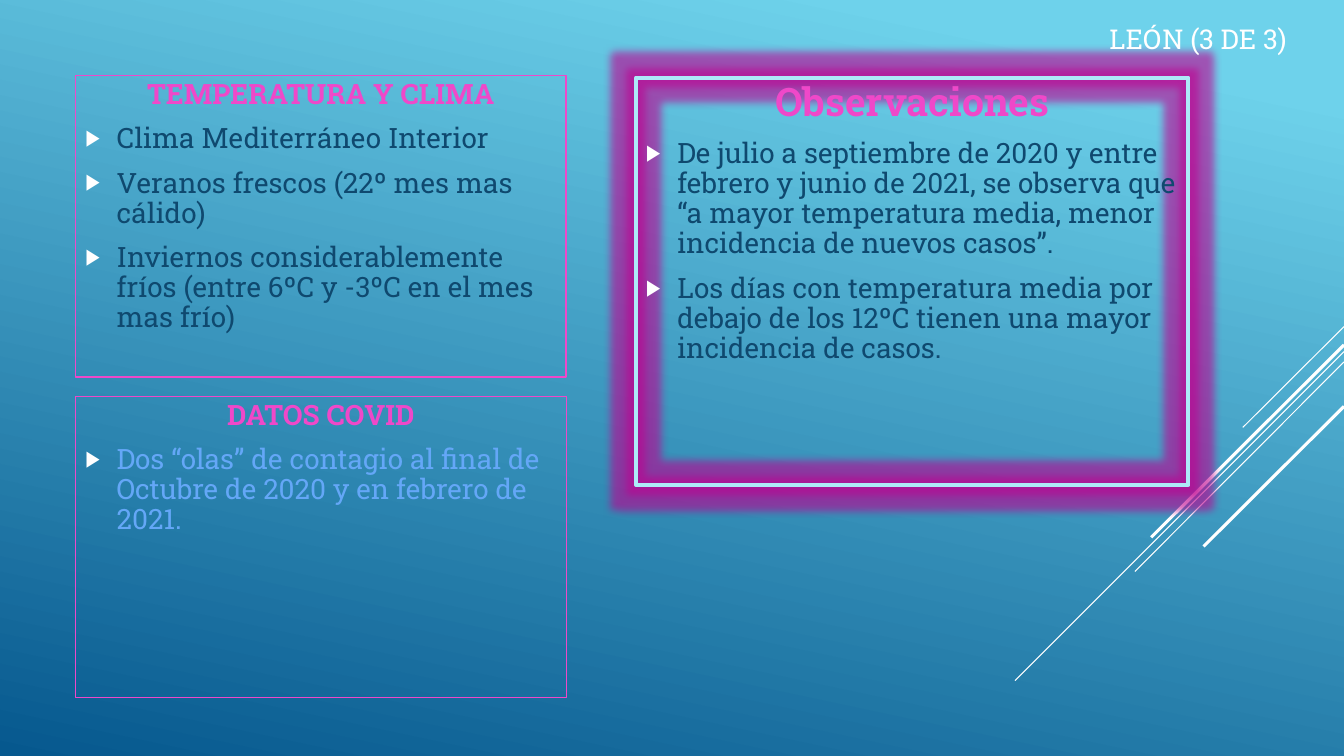
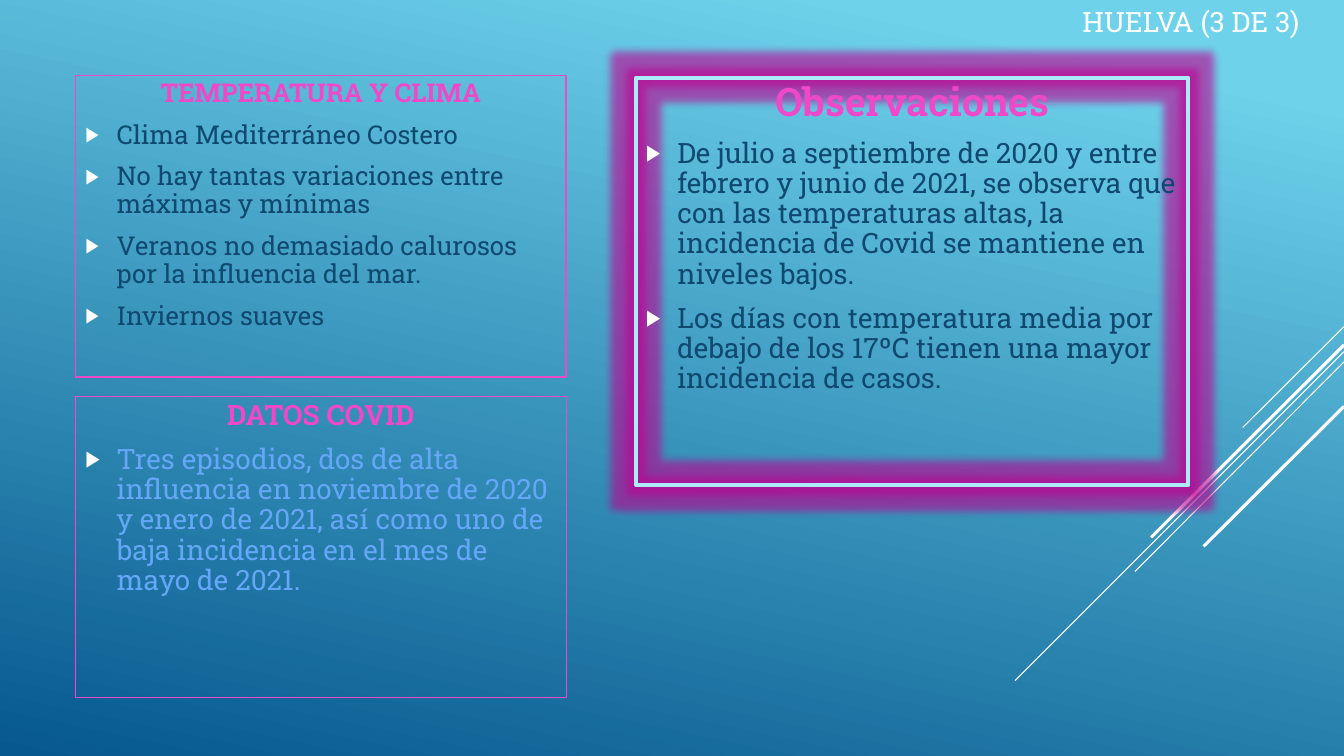
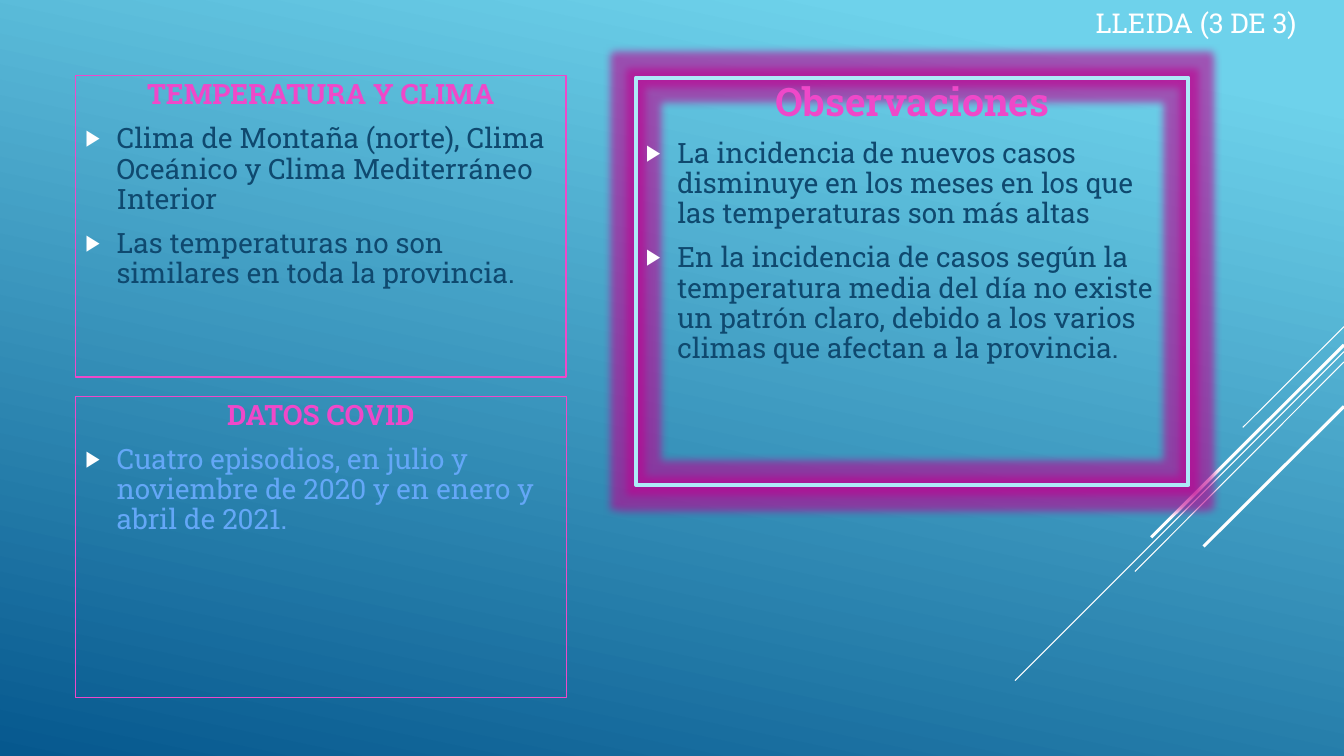
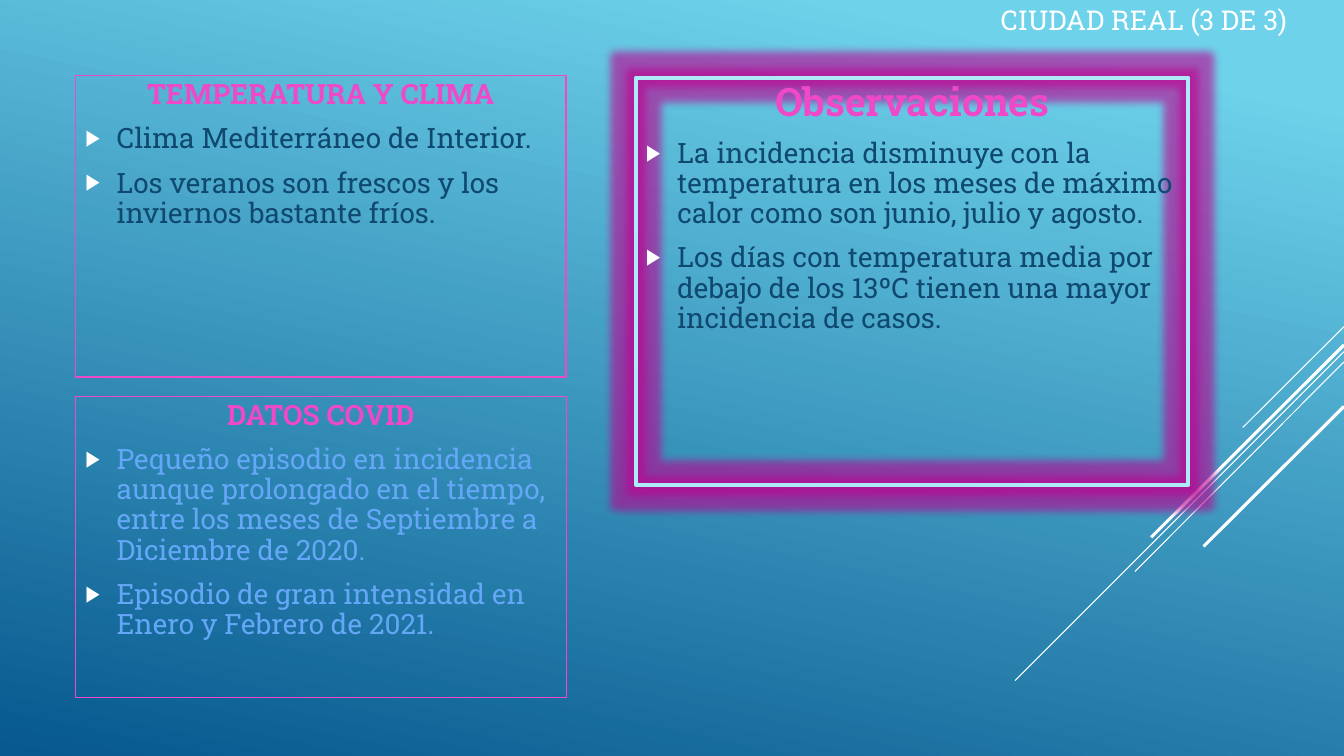
"""Builds the four provincial climate and Covid summary slides."""
from dataclasses import dataclass
from typing import Any

from lxml.etree import SubElement
from pptx import Presentation
from pptx.dml.color import RGBColor
from pptx.enum.shapes import MSO_CONNECTOR, MSO_SHAPE
from pptx.enum.text import MSO_ANCHOR, PP_ALIGN
from pptx.oxml.ns import qn
from pptx.util import Cm, Pt

FONT = "Roboto Slab"
COLORS = {
    "sky": "6ED2EB",
    "deep": "06588E",
    "white": "FFFFFF",
    "pink": "EF48C9",
    "navy": "0F496F",
    "light_blue": "64A7F7",
    "frame": "ADE9F8",
    "glow": "BF0090",
}
SLIDE_WIDTH, SLIDE_HEIGHT = 33.87, 19.05
BULLET_INDENT = 0.79


@dataclass(frozen=True)
class Stripe:
    top: float
    left: float
    bottom: float
    weight: float


@dataclass(frozen=True)
class Panel:
    heading: str
    box: tuple[float, float, float, float]
    line: str
    weight: float
    ink: str
    heading_size: float = 20
    glow: bool = False


@dataclass(frozen=True)
class Province:
    title: str
    title_box: tuple[float, float, float, float]
    climate: list[str]
    covid: list[str]
    remarks: list[str]
    title_size: float = 19.5
    climate_size: float = 20


STRIPES = [
    Stripe(8.23, 31.32, 10.77, 0.75),
    Stripe(8.86, 25.58, 17.15, 0.75),
    Stripe(9.12, 28.6, 14.4, 0.75),
    Stripe(8.69, 29.01, 13.54, 2.25),
    Stripe(10.24, 30.33, 13.77, 2.25),
]
CLIMATE = Panel("TEMPERATURA Y CLIMA", (1.9, 1.9, 12.37, 7.6), "pink", 1, "navy")
COVID = Panel("DATOS COVID", (1.9, 9.98, 12.37, 7.6), "pink", 0.75, "light_blue")
REMARKS = Panel("Observaciones", (16.03, 1.96, 13.92, 10.26), "frame", 3, "navy", 28, True)

PROVINCES = [
    Province(
        "LEÓN (3 DE 3)",
        (27.71, 0.48, 6.83, 1.07),
        [
            "Clima Mediterráneo Interior",
            "Veranos frescos (22º mes mas cálido)",
            "Inviernos considerablemente fríos (entre 6ºC y -3ºC en el mes mas frío)",
        ],
        ["Dos “olas” de contagio al final de Octubre de 2020 y en febrero de 2021."],
        [
            "De julio a septiembre de 2020 y entre febrero y junio de 2021, se observa que "
            "“a mayor temperatura media, menor incidencia de nuevos casos”.",
            "Los días con temperatura media por debajo de los 12ºC tienen una mayor "
            "incidencia de casos.",
        ],
    ),
    Province(
        "HUELVA (3 DE 3)",
        (27.03, 0.05, 6.83, 1.07),
        [
            "Clima Mediterráneo Costero",
            "No hay tantas variaciones entre máximas y mínimas",
            "Veranos no demasiado calurosos por la influencia del mar.",
            "Inviernos suaves",
        ],
        [
            "Tres episodios, dos de alta influencia en noviembre de 2020 y enero de 2021, "
            "así como uno de baja incidencia en el mes de mayo de 2021."
        ],
        [
            "De julio a septiembre de 2020 y entre febrero y junio de 2021, se observa que "
            "con las temperaturas altas, la incidencia de Covid se mantiene en niveles bajos.",
            "Los días con temperatura media por debajo de los 17ºC tienen una mayor "
            "incidencia de casos.",
        ],
        title_size=20,
        climate_size=18.5,
    ),
    Province(
        "LLEIDA (3 DE 3)",
        (27.36, 0.03, 7.34, 1.19),
        [
            "Clima de Montaña (norte), Clima Oceánico y Clima Mediterráneo Interior",
            "Las temperaturas no son similares en toda la provincia.",
        ],
        ["Cuatro episodios, en julio y noviembre de 2020 y en enero y abril de 2021."],
        [
            "La incidencia de nuevos casos disminuye en los meses en los que las "
            "temperaturas son más altas",
            "En la incidencia de casos según la temperatura media del día no existe un "
            "patrón claro, debido a los varios climas que afectan a la provincia.",
        ],
    ),
    Province(
        "CIUDAD REAL (3 DE 3)",
        (24.97, 0, 8.86, 1.09),
        [
            "Clima Mediterráneo de Interior.",
            "Los veranos son frescos y los inviernos bastante fríos.",
        ],
        [
            "Pequeño episodio en incidencia aunque prolongado en el tiempo, entre los meses "
            "de Septiembre a Diciembre de 2020.",
            "Episodio de gran intensidad en Enero y Febrero de 2021.",
        ],
        [
            "La incidencia disminuye con la temperatura en los meses de máximo calor como "
            "son junio, julio y agosto.",
            "Los días con temperatura media por debajo de los 13ºC tienen una mayor "
            "incidencia de casos.",
        ],
    ),
]


def rgb(name: str) -> RGBColor:
    """Return a named colour."""
    return RGBColor.from_string(COLORS[name])


def apply(target: Any, values: dict[str, Any]) -> None:
    """Set every listed attribute on the target."""
    for name, value in values.items():
        setattr(target, name, value)


def write(para: Any, text: str, size: float, color: str, bold: bool = False) -> None:
    """Add one formatted span to a paragraph."""
    span = para.add_run()
    span.text = text
    apply(span.font, {"name": FONT, "size": Pt(size), "bold": bold})
    span.font.color.rgb = rgb(color)


def add_bullet(para: Any) -> None:
    """Give a paragraph a hanging white triangle."""
    properties = para._p.get_or_add_pPr()
    properties.set("marL", str(Cm(BULLET_INDENT)))
    properties.set("indent", str(-Cm(BULLET_INDENT)))
    color = SubElement(properties, qn("a:buClr"))
    SubElement(color, qn("a:srgbClr"), val=COLORS["white"])
    SubElement(properties, qn("a:buSzPct"), val="80000")
    SubElement(properties, qn("a:buFont"), typeface="Arial")
    SubElement(properties, qn("a:buChar"), char="▶")


def add_glow(shape: Any) -> None:
    """Surround a shape's outline with a soft purple glow."""
    effects = shape._element.spPr.find(qn("a:effectLst"))
    glow = SubElement(effects, qn("a:glow"), rad=str(Pt(11)))
    color = SubElement(glow, qn("a:srgbClr"), val=COLORS["glow"])
    SubElement(color, qn("a:alpha"), val="60000")


def paint_background(deck: Any) -> None:
    """Set the shared gradient on the slide master."""
    fill = deck.slide_master.background.fill
    fill.gradient()
    fill.gradient_angle = 258
    for stop, (color, position) in zip(fill.gradient_stops, [("sky", 0.1), ("deep", 1)]):
        stop.color.rgb = rgb(color)
        stop.position = position


def add_stripe(page: Any, stripe: Stripe) -> None:
    """Draw a diagonal line from the right edge."""
    points = (SLIDE_WIDTH, stripe.top, stripe.left, stripe.bottom)
    connector = page.shapes.add_connector(MSO_CONNECTOR.STRAIGHT, *map(Cm, points))
    connector.line.color.rgb = rgb("white")
    connector.line.width = Pt(stripe.weight)
    SubElement(connector._element.spPr, qn("a:effectLst"))


def add_panel(page: Any, panel: Panel, items: list[str], size: float, heading_size: float) -> None:
    """Draw an outlined box with a heading and bullets."""
    box = page.shapes.add_shape(MSO_SHAPE.RECTANGLE, *map(Cm, panel.box))
    box.shadow.inherit = False
    box.fill.background()
    box.line.color.rgb = rgb(panel.line)
    box.line.width = Pt(panel.weight)
    if panel.glow:
        add_glow(box)
    frame = box.text_frame
    apply(frame, {"word_wrap": True, "vertical_anchor": MSO_ANCHOR.TOP})
    for index, text in enumerate([panel.heading, *items]):
        para = frame.add_paragraph() if index else frame.paragraphs[0]
        text_size = size if index else heading_size
        apply(para, {
            "alignment": PP_ALIGN.LEFT if index else PP_ALIGN.CENTER,
            "line_spacing": 0.9,
            "space_before": Pt(text_size * 0.2),
            "space_after": Pt(6),
        })
        if index:
            add_bullet(para)
        write(para, text, text_size, panel.ink if index else "pink", bold=not index)


def add_title(page: Any, province: Province) -> None:
    """Write the province name at the top right."""
    box = page.shapes.add_textbox(*map(Cm, province.title_box))
    apply(box.text_frame, {"word_wrap": True, "vertical_anchor": MSO_ANCHOR.MIDDLE})
    para = box.text_frame.paragraphs[0]
    para.line_spacing = 0.9
    write(para, province.title, province.title_size, "white")


def add_page(deck: Any, province: Province) -> None:
    """Build one province slide."""
    page = deck.slides.add_slide(deck.slide_layouts[6])
    for stripe in STRIPES:
        add_stripe(page, stripe)
    add_panel(page, CLIMATE, province.climate, province.climate_size, province.climate_size)
    for panel, items in ((COVID, province.covid), (REMARKS, province.remarks)):
        add_panel(page, panel, items, 20, panel.heading_size)
    add_title(page, province)


def main() -> None:
    """Create and save the deck."""
    deck = Presentation()
    apply(deck, {"slide_width": Cm(SLIDE_WIDTH), "slide_height": Cm(SLIDE_HEIGHT)})
    paint_background(deck)
    for province in PROVINCES:
        add_page(deck, province)
    deck.save("out.pptx")


if __name__ == "__main__":
    main()
